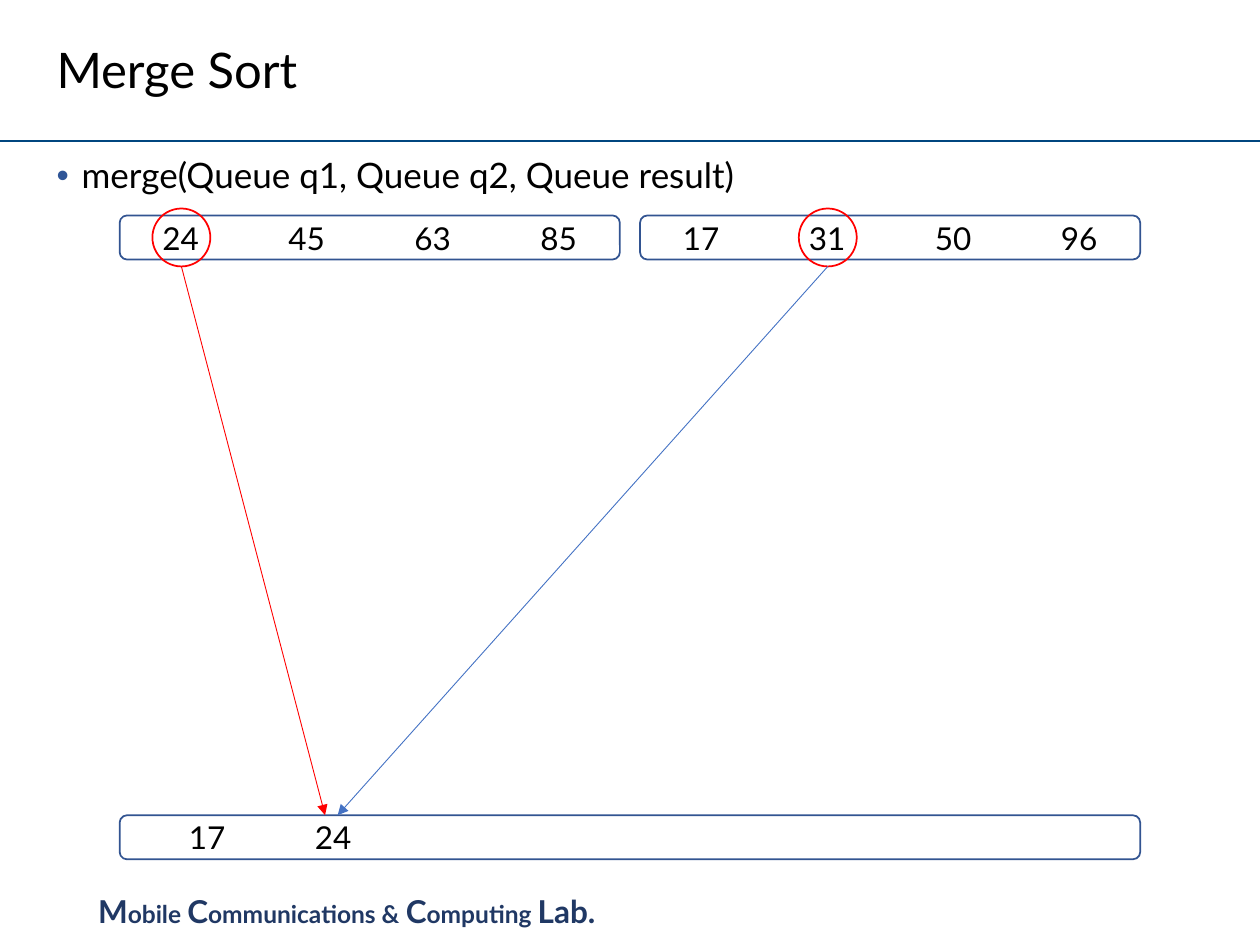
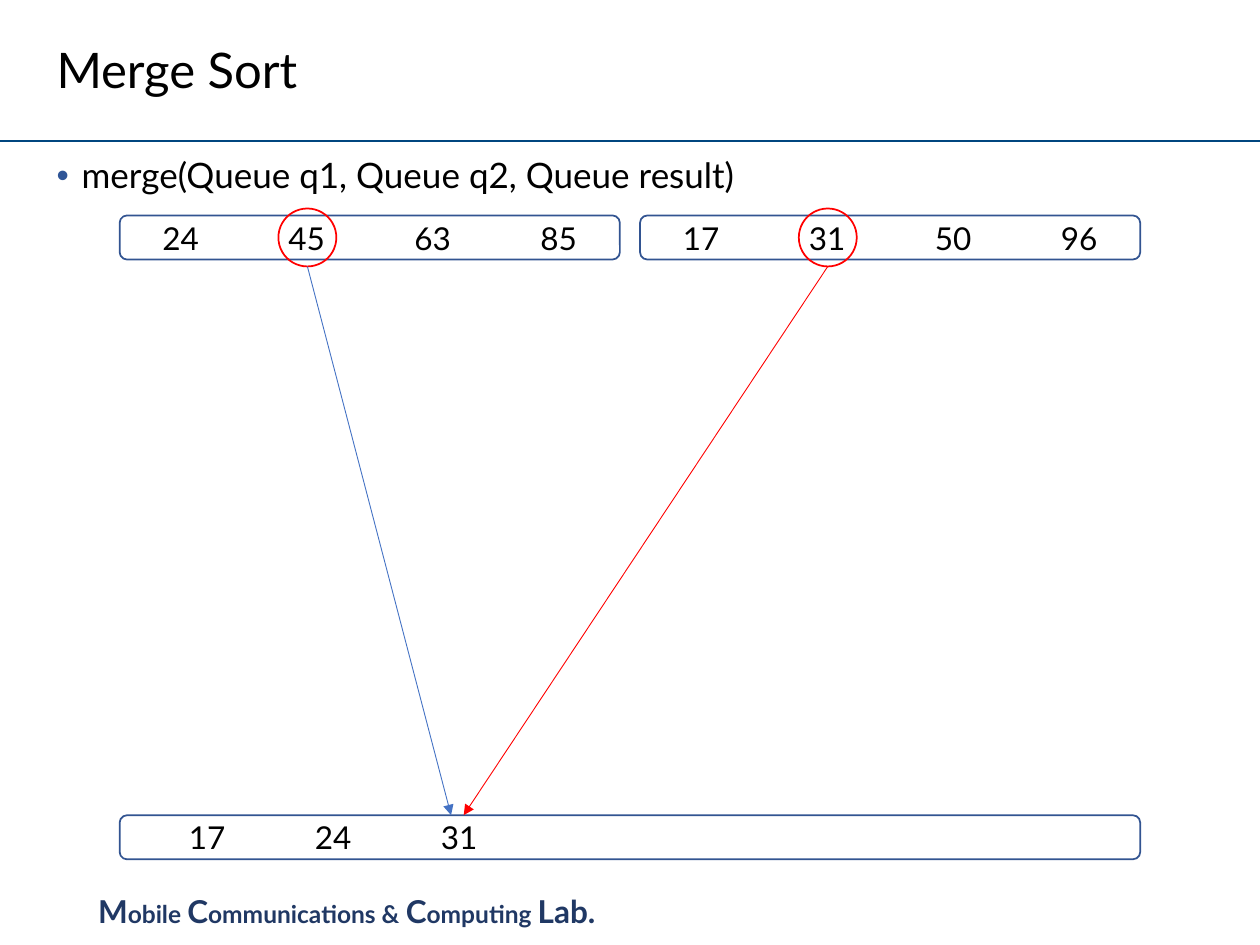
"""Builds two slides that trace merge steps of a merge sort."""
from lxml import etree
from pptx import Presentation
from pptx.dml.color import RGBColor
from pptx.enum.shapes import MSO_CONNECTOR, MSO_SHAPE
from pptx.enum.text import MSO_ANCHOR, MSO_AUTO_SIZE, PP_ALIGN
from pptx.oxml.ns import qn
from pptx.util import Inches, Pt

STRAIGHT = MSO_CONNECTOR.STRAIGHT
ROUNDED, OVAL = MSO_SHAPE.ROUNDED_RECTANGLE, MSO_SHAPE.OVAL
TOP, MIDDLE = MSO_ANCHOR.TOP, MSO_ANCHOR.MIDDLE
LEFT, CENTER = PP_ALIGN.LEFT, PP_ALIGN.CENTER
FIT_TEXT = MSO_AUTO_SIZE.SHAPE_TO_FIT_TEXT

COLORS = {"text": "000000", "footer": "203864", "rule": "00467F", "bullet": "2F5597",
          "queue": "325491", "winner": "FF0000", "loser": "4472C4"}
FONT = "Lato"
WIDTH, HEIGHT = 10, 7.5
MARGIN, CONTENT_WIDTH = 0.35, 9.31

COLUMN = 1
QUEUE_LEFT, QUEUE_WIDTH, QUEUE_HEIGHT, QUEUE_GAP = 0.95, 3.97, 0.35, 0.16
INPUT_TOP, RESULT_TOP = 1.71, 6.47
RESULT_WIDTH = 2 * QUEUE_WIDTH + QUEUE_GAP
RESULT_SLOTS = 8
FIRST_NUMBER = 0.49
FIRST_RESULT = 0.68
RING = 0.46
ARROW_SPREAD = 0.05

INPUTS = ([24, 45, 63, 85], [17, 31, 50, 96])
STEPS = [
    {"heads": (0, 1), "winner": 0, "merged": [17, 24]},
    {"heads": (1, 1), "winner": 1, "merged": [17, 24, 31]},
]
FOOTER = [("M", 18), ("obile ", 14), ("C", 18), ("ommunications & ", 14),
          ("C", 18), ("omputing ", 14), ("Lab.", 18)]


def rgb(name):
    """Return the named colour."""
    return RGBColor.from_string(COLORS[name])


def write(holder, runs, color="text", bold=False, align=LEFT, anchor=TOP,
          line_spacing=1, space_before=0, bullet=None):
    """Write (text, size) runs as one paragraph and return the text frame."""
    frame = holder.text_frame
    frame.word_wrap = True
    frame.vertical_anchor = anchor
    paragraph = frame.paragraphs[0]
    paragraph.alignment = align
    paragraph.line_spacing = line_spacing
    paragraph.space_before = Pt(space_before)
    properties = paragraph._p.get_or_add_pPr()
    properties.set("defTabSz", str(Inches(COLUMN)))
    if bullet:
        properties.set("marL", str(Inches(0.2)))
        properties.set("indent", str(-Inches(0.2)))
        tint = etree.SubElement(properties, qn("a:buClr"))
        etree.SubElement(tint, qn("a:srgbClr"), val=COLORS["bullet"])
        etree.SubElement(properties, qn("a:buFont"), typeface="Arial")
        etree.SubElement(properties, qn("a:buChar"), char=bullet)
    for words, size in runs:
        run = paragraph.add_run()
        run.text = words
        run.font.name, run.font.size, run.font.bold = FONT, Pt(size), bold
        run.font.color.rgb = rgb(color)
    return frame


def add_label(slide, box, runs, **style):
    """Add a text box and return its text frame."""
    return write(slide.shapes.add_textbox(*map(Inches, box)), runs, **style)


def add_outline(slide, preset, box, color):
    """Add an unfilled preset shape."""
    outline = slide.shapes.add_shape(preset, *map(Inches, box))
    outline.shadow.inherit = False
    outline.fill.background()
    outline.line.color.rgb = rgb(color)
    outline.line.width = Pt(1)
    return outline


def add_line(slide, start, end, color, width, arrow=False):
    """Add a straight line, with an arrowhead at its end if asked."""
    line = slide.shapes.add_connector(STRAIGHT, *map(Inches, (*start, *end)))
    line.line.color.rgb = rgb(color)
    line.line.width = Pt(width)
    if arrow:
        etree.SubElement(line.line._get_or_add_ln(), qn("a:tailEnd"), type="triangle")
    etree.SubElement(line._element.spPr, qn("a:effectLst"))


def add_queue(slide, left, top, width, numbers, slots):
    """Add a queue whose numbers stand one column apart."""
    queue = add_outline(slide, ROUNDED, (left, top, width, QUEUE_HEIGHT), "queue")
    cells = [str(number) for number in numbers] + [""] * (slots - len(numbers))
    write(queue, [("\t".join(cells), 18)], align=CENTER, anchor=MIDDLE)


def add_frame(slide):
    """Add the footer, rule, title and method heading that all slides share."""
    footer = add_label(slide, (0.68, 7.03, 4.53, 0.4), FOOTER, color="footer", bold=True)
    footer.auto_size = FIT_TEXT
    add_line(slide, (0, 1.12), (WIDTH, 1.12), "rule", 1.5)
    add_label(slide, (MARGIN, 1.21, CONTENT_WIDTH, 5.44),
              [("merge(Queue q1, Queue q2, Queue result)", 20)],
              line_spacing=0.9, space_before=7.5, bullet="•")
    add_label(slide, (MARGIN, 0.14, CONTENT_WIDTH, 0.88), [("Merge Sort", 28)],
              anchor=MIDDLE, line_spacing=0.9)


def add_step(slide, heads, winner, merged):
    """Add the queues, the compared heads and their arrows to the result."""
    lefts = [QUEUE_LEFT + side * (QUEUE_WIDTH + QUEUE_GAP) for side in range(2)]
    for left, numbers in zip(lefts, INPUTS):
        add_queue(slide, left, INPUT_TOP, QUEUE_WIDTH, numbers, len(numbers))
    add_queue(slide, QUEUE_LEFT, RESULT_TOP, RESULT_WIDTH, merged, RESULT_SLOTS)

    centers = [left + FIRST_NUMBER + head * COLUMN for left, head in zip(lefts, heads)]
    ring_top = INPUT_TOP + (QUEUE_HEIGHT - RING) / 2
    for center in centers:
        add_outline(slide, OVAL, (center - RING / 2, ring_top, RING, RING), "winner")

    target = QUEUE_LEFT + FIRST_RESULT + (len(merged) - 1) * COLUMN
    for side in (1, 0):
        tip = target + (2 * side - 1) * ARROW_SPREAD
        add_line(slide, (centers[side], ring_top + RING), (tip, RESULT_TOP),
                 "winner" if side == winner else "loser", 0.5, arrow=True)


def main():
    """Build and save the presentation."""
    deck = Presentation()
    deck.slide_width, deck.slide_height = Inches(WIDTH), Inches(HEIGHT)
    for step in STEPS:
        slide = deck.slides.add_slide(deck.slide_layouts[6])
        add_frame(slide)
        add_step(slide, **step)
    deck.save("out.pptx")


main()
